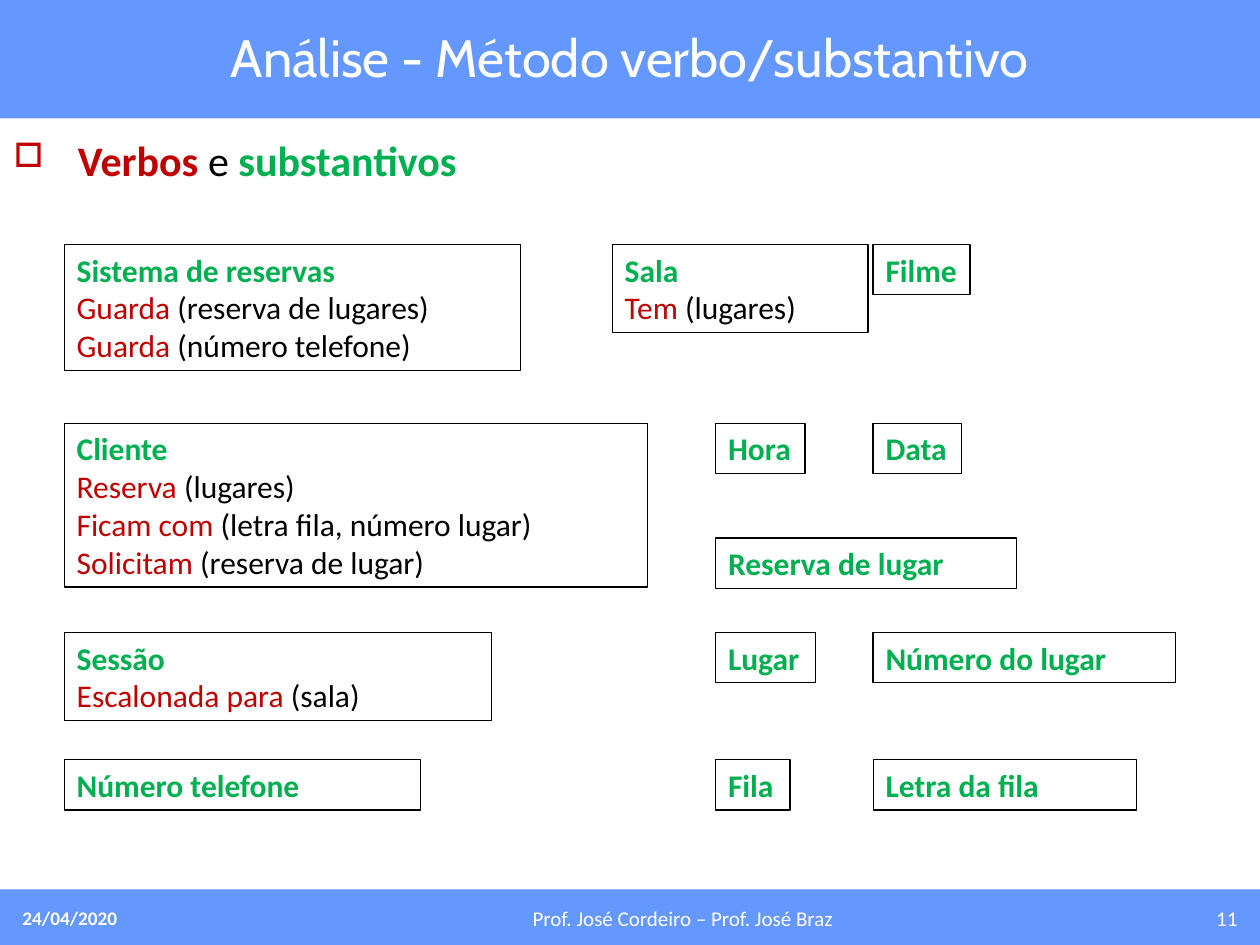
from lxml.etree import SubElement
from pptx import Presentation
from pptx.dml.color import RGBColor
from pptx.enum.shapes import MSO_SHAPE
from pptx.enum.text import MSO_ANCHOR, MSO_AUTO_SIZE, PP_ALIGN
from pptx.oxml.ns import qn
from pptx.util import Inches, Pt

COLORS = {"band": "6498FF", "white": "FFFFFF", "black": "000000",
          "verb": "C00000", "noun": "00B050"}
LEFT, MIDDLE, RIGHT = 0.51, 5.68, 6.93
ROWS = [1.94, 3.36, 5.02, 6.03]
CARDS = [
    (LEFT, ROWS[0], 3.62, "Sistema de reservas",
     [("Guarda", " (reserva de lugares)"), ("Guarda", " (número telefone)")]),
    (4.86, ROWS[0], 2.03, "Sala", [("Tem", " (lugares)")]),
    (RIGHT, ROWS[0], 0.77, "Filme", []),
    (LEFT, ROWS[1], 4.63, "Cliente",
     [("Reserva", " (lugares)"),
      ("Ficam com ", "(letra fila, número lugar)"),
      ("Solicitam", " (reserva de lugar)")]),
    (MIDDLE, ROWS[1], 0.71, "Hora", []),
    (RIGHT, ROWS[1], 0.7, "Data", []),
    (MIDDLE, 4.27, 2.39, "Reserva de lugar", []),
    (LEFT, ROWS[2], 3.39, "Sessão", [("Escalonada para ", "(sala)")]),
    (MIDDLE, ROWS[2], 0.79, "Lugar", []),
    (RIGHT, ROWS[2], 2.4, "Número do lugar", []),
    (LEFT, ROWS[3], 2.83, "Número telefone", []),
    (MIDDLE, ROWS[3], 0.59, "Fila", []),
    (RIGHT, ROWS[3], 2.09, "Letra da fila", []),
]


def rgb(name):
    """Return the named colour."""
    return RGBColor.from_string(COLORS[name])


def add_run(p, text, size, color, bold=False, font="Calibri"):
    """Append a formatted run to a paragraph."""
    r = p.add_run()
    r.text = text
    r.font.size, r.font.name, r.font.bold = Pt(size), font, bold
    r.font.color.rgb = rgb(color)


def add_rect(slide, left, top, width, height):
    """Add a rectangle without shadow."""
    sp = slide.shapes.add_shape(MSO_SHAPE.RECTANGLE, Inches(left), Inches(top),
                                Inches(width), Inches(height))
    sp.shadow.inherit = False
    return sp


def add_band(slide, top, height):
    """Add a full-width colour band behind the title."""
    sp = add_rect(slide, 0, top, 10, height)
    sp.fill.solid()
    sp.fill.fore_color.rgb = rgb("band")
    sp.line.fill.background()
    slide.shapes.title._element.addprevious(sp._element)


def add_text_box(slide, left, top, width, height):
    """Add a wrapping text box and return its first paragraph."""
    tf = slide.shapes.add_textbox(Inches(left), Inches(top), Inches(width),
                                  Inches(height)).text_frame
    tf.word_wrap = True
    return tf.paragraphs[0]


def add_header(slide, height):
    """Place the title on its band."""
    add_band(slide, 0, height)
    title = slide.shapes.title
    title.left, title.top = Inches(0), Inches(0.15)
    title.width, title.height = Inches(10), Inches(0.6)
    tf = title.text_frame
    tf.auto_size = MSO_AUTO_SIZE.NONE
    tf.vertical_anchor = MSO_ANCHOR.BOTTOM
    p = tf.paragraphs[0]
    p.alignment = PP_ALIGN.CENTER
    add_run(p, "Análise - Método verbo/substantivo", 30, "white", font="Cabin")


def add_footer(slide, top, height):
    """Place date, authors and page number on the bottom band."""
    add_band(slide, top, height)
    parts = [
        (0.08, 1.29, "24/04/2020", 11, True, PP_ALIGN.LEFT),
        (1.38, 8.08, "Prof. José Cordeiro – Prof. José Braz", 12, False,
         PP_ALIGN.CENTER),
        (9.49, 0.43, "11", 12, False, PP_ALIGN.RIGHT),
    ]
    for left, width, text, size, bold, align in parts:
        p = add_text_box(slide, left, top + 0.08, width, height - 0.08)
        p.alignment = align
        add_run(p, text, size, "white", bold)


def add_legend(slide, left, top, width, height):
    """Place the bulleted line that names the two colours."""
    p = add_text_box(slide, left, top, width, height)
    pPr = p._p.get_or_add_pPr()
    pPr.set("marL", str(Inches(0.51)))
    pPr.set("indent", str(-Inches(0.51)))
    SubElement(pPr, qn("a:buSzPct")).set("val", "80000")
    SubElement(pPr, qn("a:buChar")).set("char", "□")
    p.line_spacing = 1.2
    add_run(p, "Verbos", 24, "verb", True)
    add_run(p, " e ", 24, "black")
    add_run(p, "substantivos", 24, "noun", True)


def add_card(slide, left, top, width, noun, actions):
    """Add an outlined card with a noun and its verbs."""
    sp = add_rect(slide, left, top, width, 0.1 + 0.3 * (1 + len(actions)))
    sp.fill.background()
    sp.line.color.rgb = rgb("black")
    sp.line.width = Pt(0.75)
    tf = sp.text_frame
    tf.word_wrap = width > 1
    tf.vertical_anchor = MSO_ANCHOR.TOP
    p = tf.paragraphs[0]
    p.alignment = PP_ALIGN.LEFT
    add_run(p, noun, 18, "noun", True)
    for verb, detail in actions:
        p = tf.add_paragraph()
        p.alignment = PP_ALIGN.LEFT
        add_run(p, verb, 18, "verb")
        add_run(p, detail, 18, "black")


def main():
    """Build and save the slide."""
    prs = Presentation()
    prs.slide_width, prs.slide_height = Inches(10), Inches(7.5)
    slide = prs.slides.add_slide(prs.slide_layouts[5])
    add_header(slide, 0.94)
    add_footer(slide, 7.06, 0.44)
    add_legend(slide, 0.01, 0.94, 9.08, 0.6)
    for card in CARDS:
        add_card(slide, *card)
    prs.save("out.pptx")


if __name__ == "__main__":
    main()
